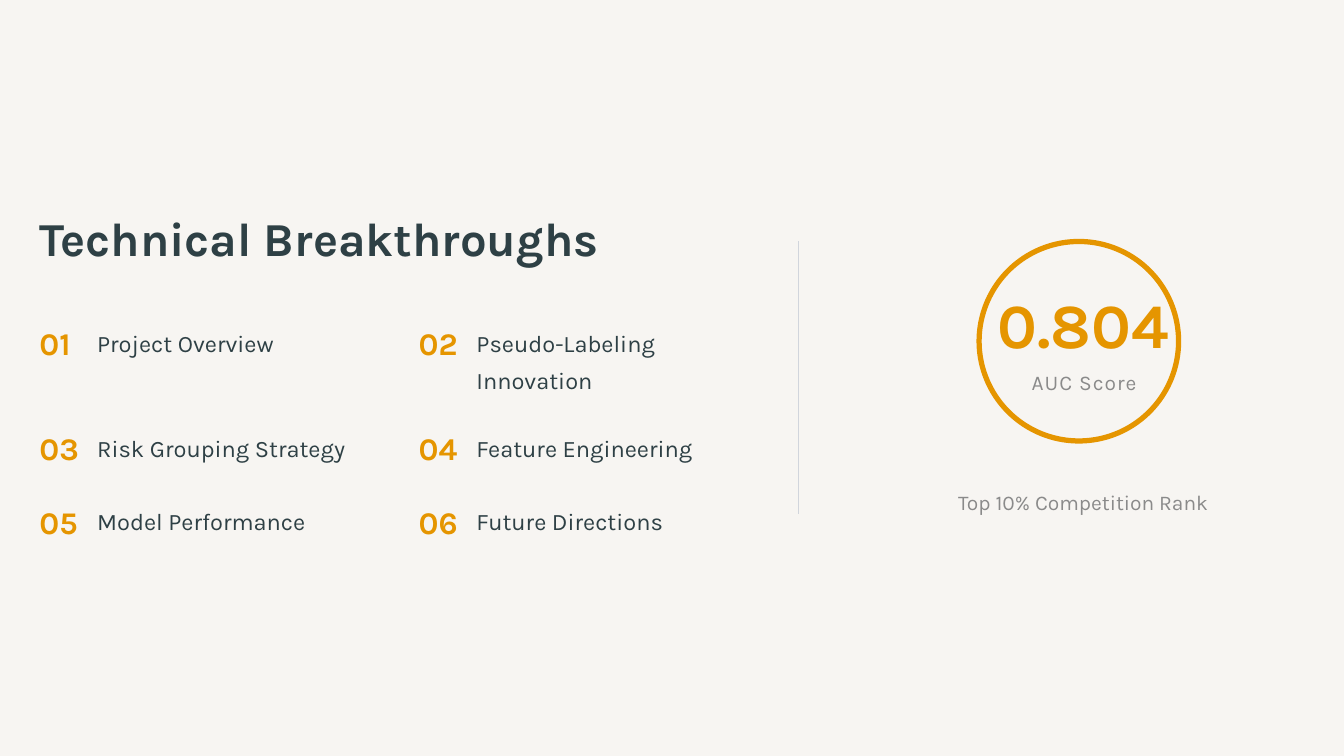
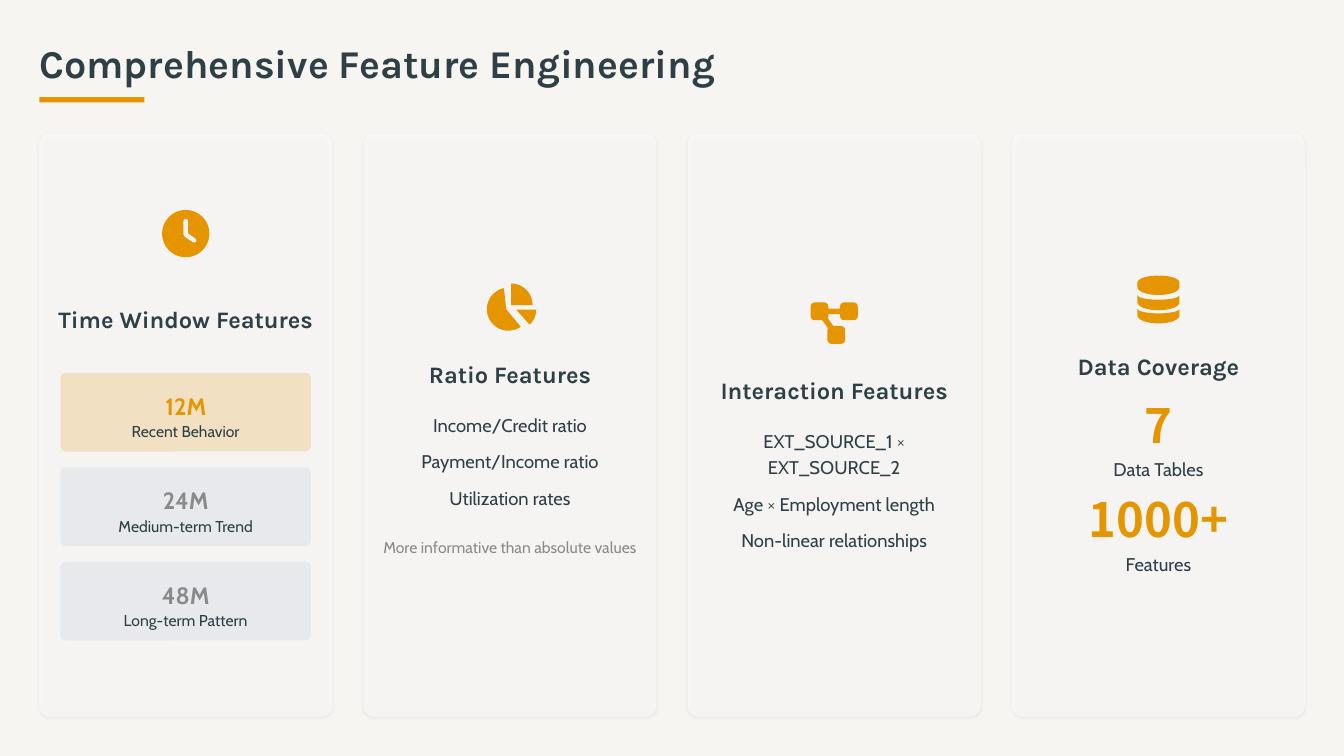
"""Build two slides on credit-risk modelling: an agenda and a feature overview."""
from math import cos, radians, sin

from lxml.etree import SubElement as Sub
from pptx import Presentation
from pptx.dml.color import RGBColor
from pptx.enum.shapes import MSO_CONNECTOR as Link, MSO_SHAPE as Form
from pptx.enum.text import MSO_ANCHOR as Anchor, MSO_AUTO_SIZE as Fit, PP_ALIGN as Align
from pptx.oxml.ns import qn
from pptx.util import Inches, Pt

INK = RGBColor(0x2E, 0x40, 0x45)
GOLD = RGBColor(0xE5, 0x95, 0x00)
GRAY = RGBColor(0x8A, 0x8A, 0x8A)
PALE = RGBColor(0xE5, 0xE7, 0xEB)
RULE = RGBColor(0xD1, 0xD5, 0xDC)
PAPER = RGBColor(0xF7, 0xF5, 0xF2)
CARD = RGBColor(0xF5, 0xF3, 0xF2)
WHITE = RGBColor(0xFF, 0xFF, 0xFF)
HEAD, BODY, DIGIT = "Karla", "Cabin", "Noto Sans CJK SC"
COLS, ROWS = 128, 72
UNIT = Inches(8) / ROWS
EDGE = 3.75


def paint(shape, color, alpha=100):
    shape.shadow.inherit = False
    shape.fill.solid()
    shape.fill.fore_color.rgb = color
    shape.line.fill.background()
    if alpha < 100:
        tint = shape.element.spPr.find(qn("a:solidFill"))[0]
        Sub(tint, qn("a:alpha"), val=str(alpha * 1000))
    return shape


def write(shape, box, lines, size, color=INK, face=HEAD, bold=False,
          lead=1.3, align=Align.CENTER, gap=0):
    shape.left, shape.top, shape.width, shape.height = [round(v * UNIT) for v in box]
    shape.element.getparent().append(shape.element)
    frame = shape.text_frame
    frame.word_wrap = True
    frame.auto_size = Fit.NONE
    frame.vertical_anchor = Anchor.MIDDLE
    frame.margin_left = frame.margin_top = frame.margin_right = frame.margin_bottom = 0
    for i, line in enumerate(lines):
        para = frame.add_paragraph() if i else frame.paragraphs[0]
        if shape.is_placeholder:
            props = para._p.get_or_add_pPr()
            props.set("marL", "0")
            props.set("indent", "0")
            Sub(props, qn("a:buNone"))
        para.alignment = align
        para.line_spacing = lead
        para.space_before = Pt(gap if i else 0)
        run = para.add_run()
        run.text = line
        font = run.font
        font.name, font.size, font.bold = face, Pt(size), bold
        font.color.rgb = color
    return run


prs = Presentation()
prs.slide_width, prs.slide_height = round(COLS * UNIT), round(ROWS * UNIT)
back = prs.slide_master.background.fill
back.solid()
back.fore_color.rgb = PAPER

slide = prs.slides.add_slide(prs.slide_layouts[5])
shapes = slide.shapes
write(shapes.title, (EDGE, 20.5, 68.5, 5), ["Technical Breakthroughs"], 36,
      bold=True, lead=0.9, align=Align.LEFT)

topics = ["Project Overview", "Pseudo-Labeling Innovation", "Risk Grouping Strategy",
          "Feature Engineering", "Model Performance", "Future Directions"]
for i, topic in enumerate(topics):
    x, y = EDGE + i % 2 * 36.13, (30.5, 40.5, 47.5)[i // 2]
    write(shapes.add_textbox(0, 0, 0, 0), (x, y, 5, 4), [f"{i + 1:02}"], 24, GOLD,
          bold=True, lead=1.1, align=Align.LEFT)
    high = 7 if len(topic) > 24 else 3.5
    write(shapes.add_textbox(0, 0, 0, 0), (x + 5.5, y, 25.75, high), [topic], 18,
          align=Align.LEFT)

rule = shapes.add_connector(Link.STRAIGHT, *[round(v * UNIT) for v in (76.05, 23, 76.05, 49)])
rule.line.color.rgb = RULE
rule.line.width = Pt(0.8)
Sub(rule.element.spPr, qn("a:effectLst"))

ring = shapes.add_shape(Form.OVAL, *[round(v * UNIT) for v in (93.25, 23, 19, 19)])
ring.shadow.inherit = False
ring.fill.background()
ring.line.color.rgb = GOLD
ring.line.width = Pt(4)
write(shapes.add_textbox(0, 0, 0, 0), (93.6, 28.5, 19.1, 6), ["0.804"], 48, GOLD,
      bold=True, lead=0.8)
score = write(shapes.add_textbox(0, 0, 0, 0), (94.7, 34.5, 17.1, 3), ["AUC Score"], 16, GRAY)
score._r.get_or_add_rPr().set("spc", "80")
write(shapes.add_textbox(0, 0, 0, 0), (89.9, 46, 26.5, 3), ["Top 10% Competition Rank"], 16, GRAY)

slide = prs.slides.add_slide(prs.slide_layouts[3])
shapes = slide.shapes
write(shapes.title, (EDGE, EDGE, 122.4, 4.5), ["Comprehensive Feature Engineering"], 30,
      bold=True, lead=1, align=Align.LEFT)
paint(shapes.add_shape(Form.RECTANGLE, *[round(v * UNIT) for v in (EDGE, 9.25, 10, 0.5)]), GOLD)

WIDE, STEP, TEXT = 27.88, 30.88, 25
mids = [EDGE + i * STEP + WIDE / 2 for i in range(4)]
lefts = [mid - TEXT / 2 for mid in mids]
heads = [("Time Window Features", 26.5, 7), ("Ratio Features", 33.5, 3.5),
         ("Interaction Features", 35, 3.5), ("Data Coverage", 32.75, 3.5)]
for mid, left, (head, y, high) in zip(mids, lefts, heads):
    box = (mid - WIDE / 2, 12.75, WIDE, 55.5)
    card = shapes.add_shape(Form.ROUNDED_RECTANGLE, *[round(v * UNIT) for v in box])
    card.adjustments[0] = 0.036
    paint(card, WHITE, 60)
    glow = Sub(card.element.spPr.find(qn("a:effectLst")), qn("a:outerShdw"),
               blurRad=str(Pt(3)), dist=str(Pt(1)), dir="5400000", rotWithShape="0")
    Sub(Sub(glow, qn("a:srgbClr"), val="000000"), qn("a:alpha"), val="10000")
    write(shapes.add_textbox(0, 0, 0, 0), (left, y, TEXT, high), [head], 18, bold=True)

face = [round(v * UNIT) for v in (mids[0] - 2.25, 20, 4.5, 4.5)]
paint(shapes.add_shape(Form.OVAL, *face), GOLD)
for dx, y in [(-2.25, 28.8), (0.55, 28.8), (-0.65, 31.05)]:
    box = [round(v * UNIT) for v in (mids[2] + dx, y, 1.7, 1.7)]
    node = paint(shapes.add_shape(Form.ROUNDED_RECTANGLE, *box), GOLD)
    node.adjustments[0] = 0.23

strokes = [(mids[0], CARD, 3.4, [(0, 21.05), (0, 22.35), (0.8, 22.9)]),
           (mids[2], GOLD, 4.3, [(1.4, 29.65), (-1.4, 29.65), (0.2, 31.9)])]
for mid, color, width, dots in strokes:
    dots = [(round((mid + x) * UNIT), round(y * UNIT)) for x, y in dots]
    pen = shapes.build_freeform(*dots[0])
    pen.add_line_segments(dots[1:], close=False)
    stroke = pen.convert_to_shape()
    stroke.shadow.inherit = False
    stroke.fill.background()
    stroke.line.color.rgb = color
    stroke.line.width = Pt(width)
    stroke.line._get_or_add_ln().set("cap", "rnd")

blobs = [
    (mids[1], [(-0.35, 29.45, 0, 0, 0, 0), (-0.15, 29.45, 2.05, 2.05, 55, 258)]),
    (mids[1], [(0.1, 29.05, 0, 0, 0, 0), (0.1, 29.05, 2.05, 2.05, 270, 360)]),
    (mids[1], [(0.6, 29.5, 0, 0, 0, 0), (0.6, 29.5, 1.9, 1.9, 0, 48)]),
    (mids[3], [(0, 26.9, 2, 0.65, 180, 360), (0, 27.35, 2, 0.75, 0, 180)]),
    (mids[3], [(0, 28.1, 2, 0.45, 180, 0), (0, 28.8, 2, 0.75, 0, 180)]),
    (mids[3], [(0, 29.4, 2, 0.45, 180, 0), (0, 30.05, 2, 0.75, 0, 180)]),
]
for mid, arcs in blobs:
    dots = []
    for x, y, rx, ry, start, end in arcs:
        for i in range(25):
            turn = radians(start + (end - start) * i / 24)
            dots.append((round((mid + x + rx * cos(turn)) * UNIT),
                         round((y + ry * sin(turn)) * UNIT)))
    pen = shapes.build_freeform(*dots[0])
    pen.add_line_segments(dots[1:])
    paint(pen.convert_to_shape(), GOLD)

spans = [("12M", "Recent Behavior", GOLD, GOLD, 20),
         ("24M", "Medium-term Trend", GRAY, PALE, 80),
         ("48M", "Long-term Pattern", GRAY, PALE, 80)]
for i, (span, label, color, fill, alpha) in enumerate(spans):
    y = 35.5 + i * 9
    box = [round(v * UNIT) for v in (mids[0] - 11.93, y, 23.86, 7.5)]
    chip = paint(shapes.add_shape(Form.ROUNDED_RECTANGLE, *box), fill, alpha)
    chip.adjustments[0] = 0.07
    write(shapes.add_textbox(0, 0, 0, 0), (lefts[0], y + 1, TEXT, 3.5), [span], 18,
          color, BODY, True)
    write(shapes.add_textbox(0, 0, 0, 0), (lefts[0], y + 4.5, TEXT, 2), [label], 12,
          face=BODY, lead=1.1)

lists = [(39, 9.5, ["Income/Credit ratio", "Payment/Income ratio", "Utilization rates"]),
         (40.5, 12, ["EXT_SOURCE_1 × EXT_SOURCE_2", "Age × Employment length",
                     "Non-linear relationships"])]
for i, (y, high, lines) in enumerate(lists, 1):
    write(slide.placeholders[i], (lefts[i], y, TEXT, high), lines, 14, face=BODY,
          lead=1.2, gap=7.5)
write(shapes.add_textbox(0, 0, 0, 0), (lefts[1], 50, TEXT, 4),
      ["More informative than absolute values"], 12, GRAY, BODY, lead=1.1)

for i, (count, label) in enumerate([("7", "Data Tables"), ("1000+", "Features")]):
    y = 38.25 + i * 9
    write(shapes.add_textbox(0, 0, 0, 0), (lefts[3], y, TEXT, 5), [count], 36, GOLD,
          DIGIT, True, 0.9)
    write(shapes.add_textbox(0, 0, 0, 0), (lefts[3], y + 5, TEXT, 2.5), [label], 14,
          face=BODY, lead=1.2)

prs.save("out.pptx")
